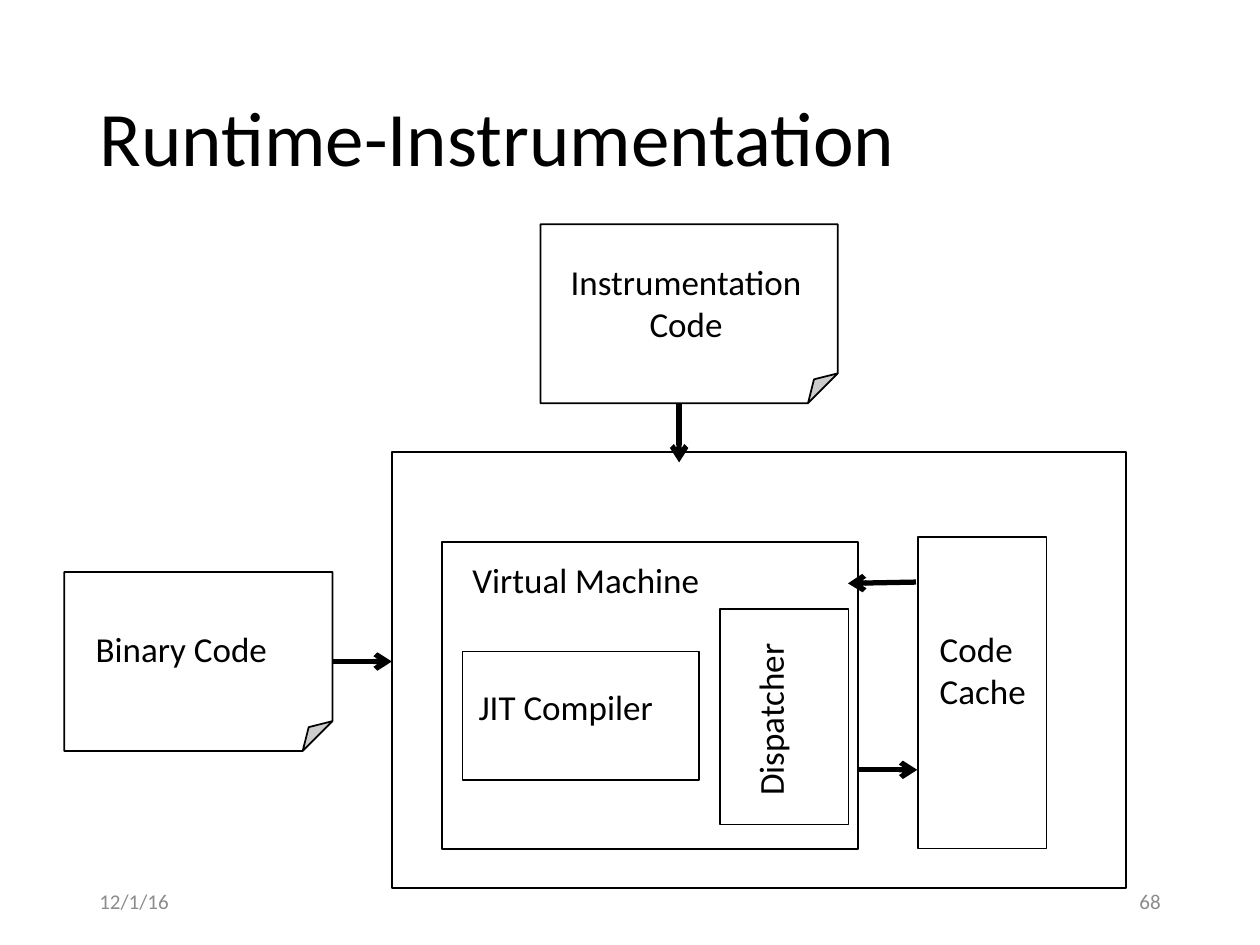
from lxml import etree
from pptx import Presentation
from pptx import util as u
from pptx.dml.color import RGBColor
from pptx.enum import shapes, text
from pptx.oxml.ns import qn

COLORS = {"ink": "000000", "paper": "FFFFFF", "muted": "8C8C8C"}


class Diagram:
    font = "Calibri"
    label_size = 20
    footer_size = 12
    title_size = 44

    def __init__(self, presentation):
        self.slide = presentation.slides.add_slide(presentation.slide_layouts[5])

    def color(self, name):
        return RGBColor.from_string(COLORS[name])

    def set_text(self, frame, content, size, color, align):
        frame.text = content
        for paragraph in frame.paragraphs:
            paragraph.alignment = align
            for run in paragraph.runs:
                run.font.name = self.font
                run.font.size = u.Pt(size)
                run.font.color.rgb = self.color(color)

    def title(self, content, box):
        shape = self.slide.shapes.title
        shape.left, shape.top, shape.width, shape.height = map(u.Inches, box)
        frame = shape.text_frame
        self.set_text(frame, content, self.title_size, "ink", text.PP_ALIGN.LEFT)
        frame.vertical_anchor = text.MSO_ANCHOR.MIDDLE
        frame.paragraphs[0].line_spacing = 0.9

    def box(self, box, kind=shapes.MSO_SHAPE.RECTANGLE, rotation=0):
        shape = self.slide.shapes.add_shape(kind, *map(u.Inches, box))
        shape.rotation = rotation
        shape.shadow.inherit = False
        shape.fill.solid()
        shape.fill.fore_color.rgb = self.color("paper")
        shape.line.color.rgb = self.color("ink")
        shape.line.width = u.Pt(1)
        return shape

    def document(self, box):
        return self.box(box, shapes.MSO_SHAPE.FOLDED_CORNER)

    def label(self, content, box, align=text.PP_ALIGN.LEFT, rotation=0):
        shape = self.slide.shapes.add_textbox(*map(u.Inches, box))
        shape.rotation = rotation
        frame = shape.text_frame
        self.set_text(frame, content, self.label_size, "ink", align)
        frame.word_wrap = False
        frame.auto_size = text.MSO_AUTO_SIZE.SHAPE_TO_FIT_TEXT

    def footer(self, content, left, align):
        box = (left, 6.95, 2.25, 0.4)
        frame = self.slide.shapes.add_textbox(*map(u.Inches, box)).text_frame
        self.set_text(frame, content, self.footer_size, "muted", align)
        frame.word_wrap = True
        frame.vertical_anchor = text.MSO_ANCHOR.MIDDLE

    def arrow(self, start, end):
        connector = self.slide.shapes.add_connector(
            shapes.MSO_CONNECTOR.STRAIGHT, *map(u.Inches, start + end))
        connector.line.color.rgb = self.color("ink")
        connector.line.width = u.Pt(3)
        properties = connector._element.spPr
        line = properties.find(qn("a:ln"))
        etree.SubElement(line, qn("a:tailEnd"), type="arrow")
        etree.SubElement(properties, qn("a:effectLst"))
        return connector


def main():
    presentation = Presentation()
    presentation.slide_width = u.Inches(10)
    presentation.slide_height = u.Inches(7.5)
    diagram = Diagram(presentation)

    diagram.title("Runtime-Instrumentation", (0.69, 0.4, 8.62, 1.45))
    diagram.footer("12/1/16", 0.69, text.PP_ALIGN.LEFT)
    diagram.footer("68", 7.06, text.PP_ALIGN.RIGHT)

    diagram.document((4.29, 1.78, 2.36, 1.42))
    binary_code = diagram.document((0.51, 4.54, 2.13, 1.42))
    diagram.box((3.11, 3.59, 5.83, 3.46))
    diagram.box((6.56, 4.99, 2.47, 1.02), rotation=90)
    diagram.box((3.51, 4.3, 3.3, 2.44))

    diagram.label("Binary Code", (0.66, 4.93, 1.72, 0.44))
    diagram.label("Instrumentation\nCode", (4.32, 2.02, 2.25, 0.77), text.PP_ALIGN.CENTER)
    diagram.arrow((5.39, 3.2), (5.39, 3.67))
    diagram.arrow((2.64, 5.25), (3.11, 5.25)).begin_connect(binary_code, 3)

    diagram.label("Virtual Machine", (3.65, 4.38, 2.21, 0.44))
    diagram.box((3.67, 5.17, 1.88, 1.02))
    diagram.label("JIT Compiler", (3.7, 5.39, 1.85, 0.44))
    diagram.box((5.37, 5.18, 1.71, 1.02), rotation=90)
    diagram.label("Dispatcher", (5.41, 5.49, 1.41, 0.44), rotation=270)

    diagram.label("Code\nCache", (7.36, 4.93, 0.95, 0.77))
    diagram.arrow((6.81, 6.11), (7.28, 6.11))
    diagram.arrow((7.27, 4.62), (6.73, 4.63))

    presentation.save("out.pptx")


if __name__ == "__main__":
    main()
